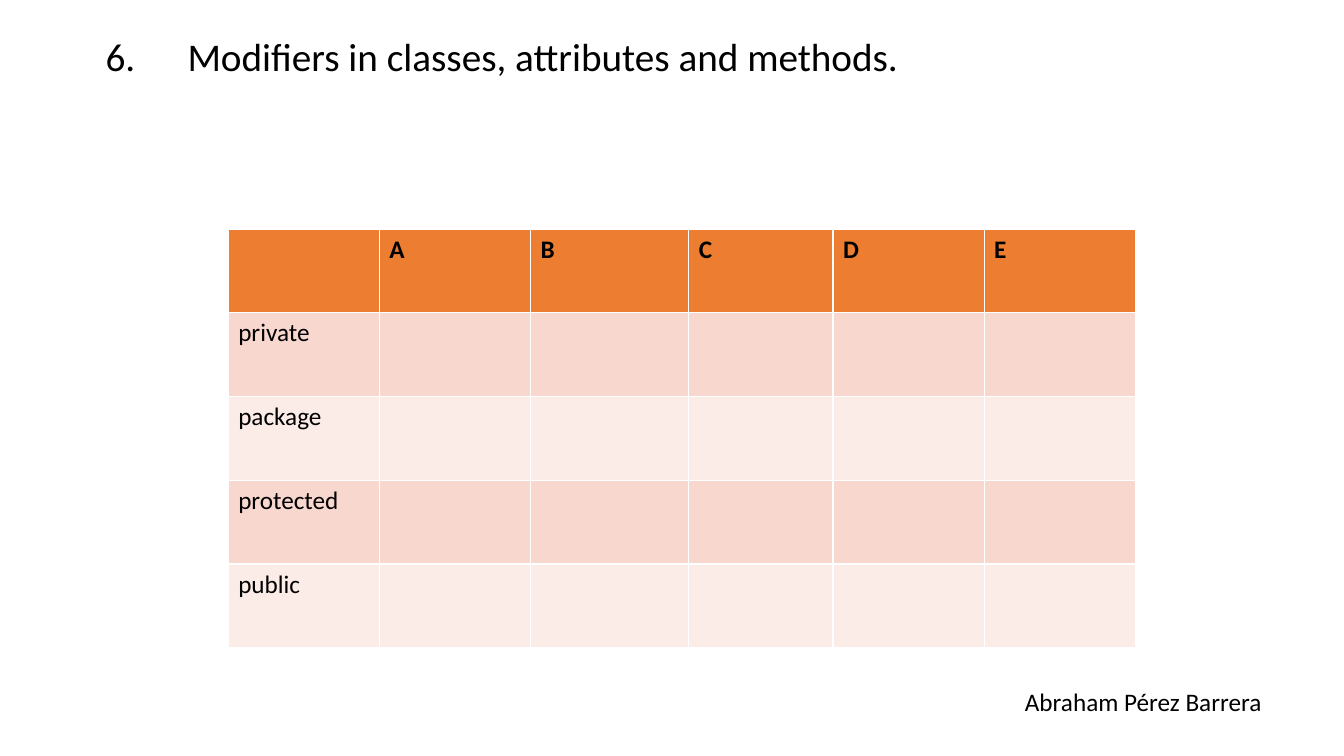
from lxml import etree
from pptx import Presentation
from pptx.dml.color import RGBColor
from pptx.enum.text import MSO_ANCHOR
from pptx.oxml.ns import qn
from pptx.util import Pt

MIDDLE = MSO_ANCHOR.MIDDLE
BLACK = RGBColor(0x00, 0x00, 0x00)
ORANGE = RGBColor(0xED, 0x7D, 0x31)
ROSE = RGBColor(0xF8, 0xD7, 0xCE)
PALE_ROSE = RGBColor(0xFC, 0xEC, 0xE8)

FONT = "Calibri"
CLASSES = ["A", "B", "C", "D", "E"]
MODIFIERS = ["private", "package", "protected", "public"]
COLUMN_WIDTHS = [108, 108, 113, 103, 108, 108]
ROW_HEIGHT = 59.8
TITLE_INDENT = 58.5


def format_text(paragraph, size, bold=False):
    for run in paragraph.runs:
        run.font.name = FONT
        run.font.size = Pt(size)
        run.font.bold = bold
        run.font.color.rgb = BLACK


def add_text(slide, text, left, top, width, height, size):
    box = slide.shapes.add_textbox(Pt(left), Pt(top), Pt(width), Pt(height))
    frame = box.text_frame
    frame.word_wrap = True
    frame.text = text
    format_text(frame.paragraphs[0], size)
    return frame


def number_paragraph(paragraph, start, indent):
    properties = paragraph._p.get_or_add_pPr()
    properties.set("marL", str(Pt(indent)))
    properties.set("indent", str(-Pt(indent)))
    etree.SubElement(properties, qn("a:buFont"), typeface=FONT)
    etree.SubElement(properties, qn("a:buAutoNum"),
                     type="arabicPeriod", startAt=str(start))


def add_title(slide, text, number):
    frame = add_text(slide, text, 68.4, 15.1, 823, 54, 28)
    frame.vertical_anchor = MIDDLE
    heading = frame.paragraphs[0]
    heading.line_spacing = 0.9
    number_paragraph(heading, number, TITLE_INDENT)


def fill_cell(cell, text, color, bold):
    cell.fill.solid()
    cell.fill.fore_color.rgb = color
    cell.text = text
    format_text(cell.text_frame.paragraphs[0], 18, bold)


def add_access_table(slide):
    rows = [[""] + CLASSES]
    rows += [[modifier] + [""] * len(CLASSES) for modifier in MODIFIERS]
    table = slide.shapes.add_table(
        len(rows), len(COLUMN_WIDTHS), Pt(163), Pt(163.7),
        Pt(sum(COLUMN_WIDTHS)), Pt(ROW_HEIGHT * len(rows))).table
    for column, width in zip(table.columns, COLUMN_WIDTHS):
        column.width = Pt(width)
    for row_index, labels in enumerate(rows):
        is_header = row_index == 0
        band = ROSE if row_index % 2 else PALE_ROSE
        for column_index, label in enumerate(labels):
            fill_cell(table.cell(row_index, column_index), label,
                      ORANGE if is_header else band, is_header)


def main():
    presentation = Presentation()
    presentation.slide_width = Pt(960)
    presentation.slide_height = Pt(540)
    slide = presentation.slides.add_slide(presentation.slide_layouts[6])
    add_text(slide, "Abraham Pérez Barrera", 725, 486.7, 186.5, 29, 18)
    add_title(slide, "Modifiers in classes, attributes and methods.", 6)
    add_access_table(slide)
    presentation.save("out.pptx")


if __name__ == "__main__":
    main()
